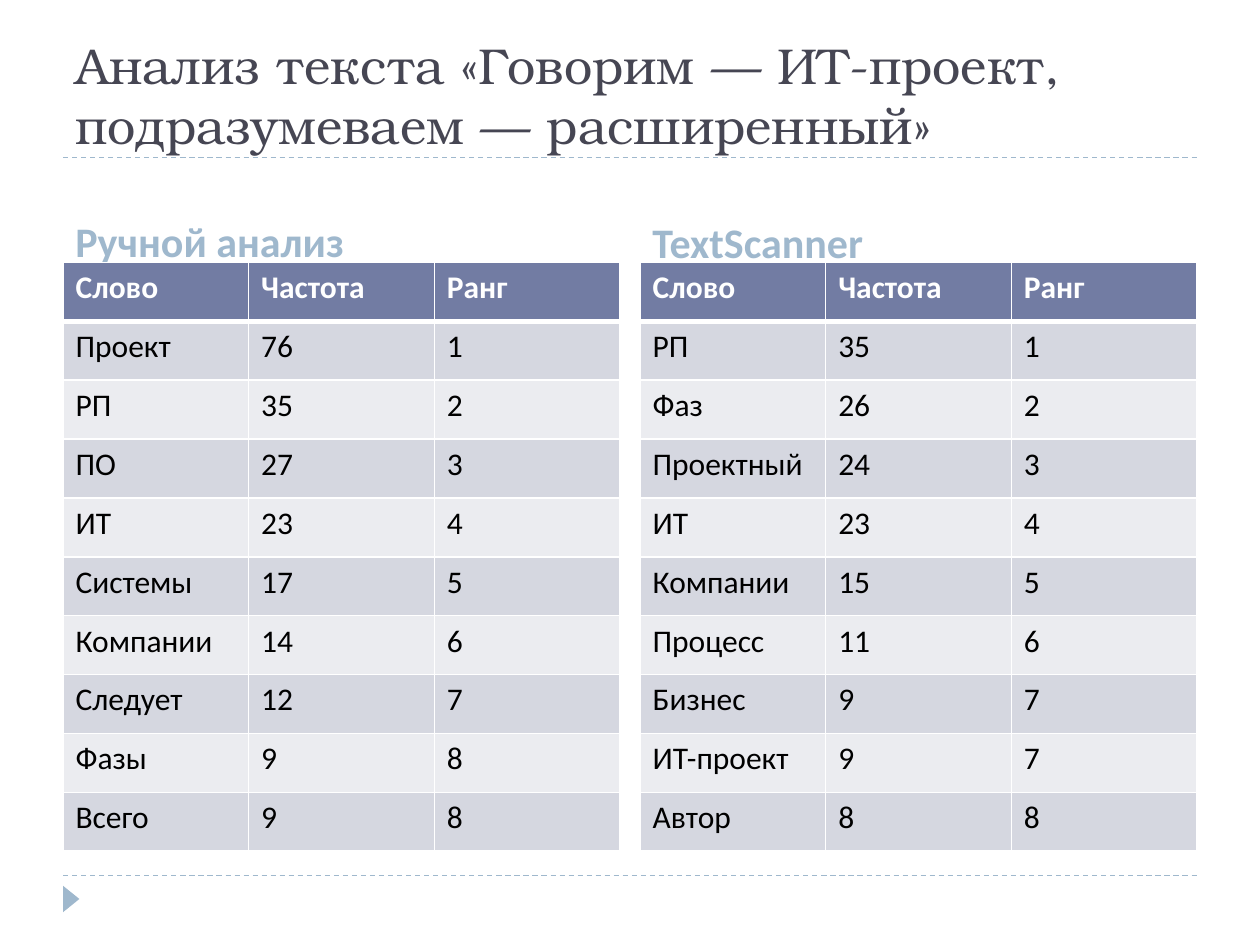
import pptx
import pptx.dml.color
import pptx.enum.dml
import pptx.enum.shapes
import pptx.enum.text
import pptx.oxml.ns
import pptx.util
from lxml import etree

COLORS = {
    "title": "464653",
    "accent": "9FB8CD",
    "header": "727CA3",
    "odd": "D5D7E0",
    "even": "EBECF0",
    "white": "FFFFFF",
    "black": "000000",
}
FORMATS = {
    "title": {"name": "TeX Gyre Bonum", "size": pptx.util.Pt(28.8), "bold": False},
    "heading": {"name": "Calibri", "size": pptx.util.Pt(24), "bold": True},
    "header": {"name": "Calibri", "size": pptx.util.Pt(18), "bold": True},
    "body": {"name": "Calibri", "size": pptx.util.Pt(18), "bold": False},
}
HEADER = ("Слово", "Частота", "Ранг")
PANELS = [
    ("Ручной анализ", 5.64, [
        ("Проект", 76, 1), ("РП", 35, 2), ("ПО", 27, 3),
        ("ИТ", 23, 4), ("Системы", 17, 5), ("Компании", 14, 6),
        ("Следует", 12, 7), ("Фазы", 9, 8), ("Всего", 9, 8),
    ]),
    ("TextScanner", 5.68, [
        ("РП", 35, 1), ("Фаз", 26, 2), ("Проектный", 24, 3),
        ("ИТ", 23, 4), ("Компании", 15, 5), ("Процесс", 11, 6),
        ("Бизнес", 9, 7), ("ИТ-проект", 9, 7), ("Автор", 8, 8),
    ]),
]

presentation = pptx.Presentation()
presentation.slide_width = pptx.util.Inches(10)
presentation.slide_height = pptx.util.Inches(7.5)
slide = presentation.slides.add_slide(presentation.slide_layouts[6])

# Grid of 20 columns by 30 rows
COLUMN = presentation.slide_width / 20
ROW = presentation.slide_height / 30
MARGIN, GAP = 1, 0.32
PANEL_WIDTH = (20 - 2 * MARGIN - GAP) / 2
TABLE_TOP, TABLE_ROW = 8.33, 1.87


def place(left, top, width, height):
    return [round(length) for length in
            (left * COLUMN, top * ROW, width * COLUMN, height * ROW)]


def write(text_frame, text, format_name, color):
    paragraph = text_frame.paragraphs[0]
    run = paragraph.add_run()
    run.text = text
    for attribute, value in FORMATS[format_name].items():
        setattr(run.font, attribute, value)
    run.font.color.rgb = pptx.dml.color.RGBColor.from_string(COLORS[color])


# Dashed rules under the title and above the footer
for rule_row in (27.8, 5):
    left, top, width, _ = place(MARGIN, rule_row, 20 - 2 * MARGIN, 0)
    rule = slide.shapes.add_connector(
        pptx.enum.shapes.MSO_CONNECTOR.STRAIGHT, left, top, left + width, top)
    rule.line.color.rgb = pptx.dml.color.RGBColor.from_string(COLORS["accent"])
    rule.line.width = pptx.util.Pt(0.75)
    rule.line.dash_style = pptx.enum.dml.MSO_LINE.DASH
    etree.SubElement(rule._element.spPr, pptx.oxml.ns.qn("a:effectLst"))

# Footer marker
marker = slide.shapes.add_shape(
    pptx.enum.shapes.MSO_SHAPE.ISOSCELES_TRIANGLE, *place(0.92, 28.28, 0.42, 0.52))
marker.rotation = 90
marker.shadow.inherit = False
marker.fill.solid()
marker.fill.fore_color.rgb = pptx.dml.color.RGBColor.from_string(COLORS["accent"])
marker.line.fill.background()

# Title and panel headings
middle = pptx.enum.text.MSO_ANCHOR.MIDDLE
bottom = pptx.enum.text.MSO_ANCHOR.BOTTOM
panel_lefts = [MARGIN + index * (PANEL_WIDTH + GAP) for index in range(len(PANELS))]
texts = [("Анализ текста «Говорим — ИТ-проект, подразумеваем — расширенный»",
          (MARGIN, 1, 20 - 2 * MARGIN, 4), "title", "title", middle, 0)]
for left, (heading, top, _) in zip(panel_lefts, PANELS):
    texts.append((heading, (left, top, PANEL_WIDTH, 3), "heading", "accent", bottom, 6))
for text, area, format_name, color, anchor, space in texts:
    text_box = slide.shapes.add_textbox(*place(*area))
    text_box.text_frame.word_wrap = True
    text_box.text_frame.vertical_anchor = anchor
    text_box.text_frame.paragraphs[0].space_before = pptx.util.Pt(space)
    write(text_box.text_frame, text, format_name, color)

# Word frequency tables
for left, (_, _, words) in zip(panel_lefts, PANELS):
    rows = [HEADER, *words]
    table = slide.shapes.add_table(
        len(rows), len(HEADER),
        *place(left, TABLE_TOP, PANEL_WIDTH, TABLE_ROW * len(rows))).table
    for row_index, values in enumerate(rows):
        is_header = row_index == 0
        fill = "header" if is_header else "odd" if row_index % 2 else "even"
        for column_index, value in enumerate(values):
            cell = table.cell(row_index, column_index)
            # Borders come before the fill in the cell properties
            properties = cell._tc.get_or_add_tcPr()
            for side in "LRTB":
                thick = (row_index, side) in ((0, "B"), (1, "T"))
                border = etree.SubElement(
                    properties, pptx.oxml.ns.qn(f"a:ln{side}"),
                    w=str(pptx.util.Pt(3 if thick else 1)))
                solid = etree.SubElement(border, pptx.oxml.ns.qn("a:solidFill"))
                etree.SubElement(solid, pptx.oxml.ns.qn("a:srgbClr"), val=COLORS["white"])
            cell.fill.solid()
            cell.fill.fore_color.rgb = pptx.dml.color.RGBColor.from_string(COLORS[fill])
            write(cell.text_frame, str(value), "header" if is_header else "body",
                  "white" if is_header else "black")

presentation.save("out.pptx")
